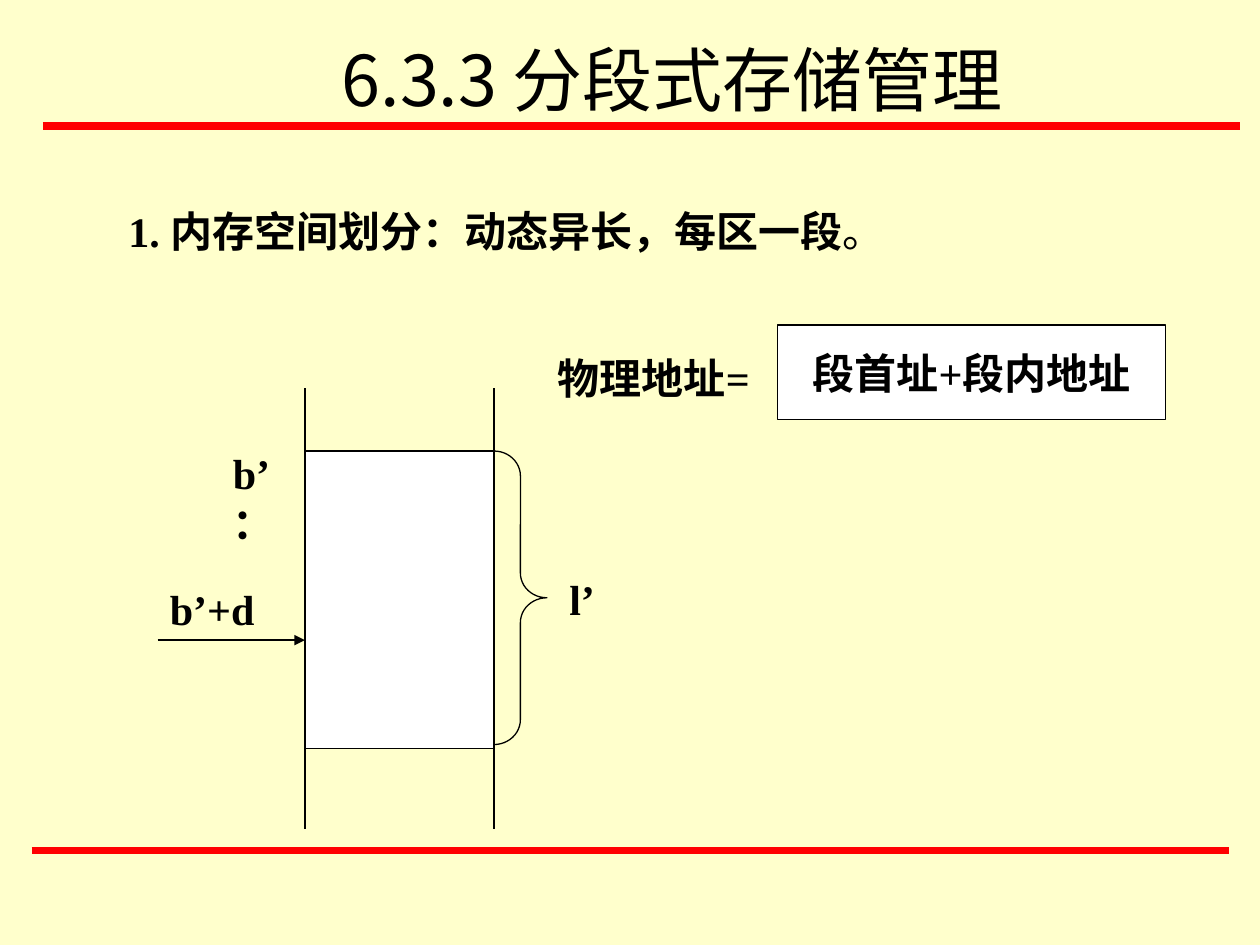
from typing import NamedTuple

from lxml import etree
from pptx import Presentation
from pptx.dml.color import RGBColor
from pptx.enum.shapes import MSO_CONNECTOR, MSO_SHAPE
from pptx.enum.text import MSO_ANCHOR, MSO_AUTO_SIZE, PP_ALIGN
from pptx.oxml.ns import qn
from pptx.util import Inches, Pt

CREAM = RGBColor(0xFF, 0xFF, 0xCC)
RED = RGBColor(0xFF, 0x00, 0x00)
BLACK = RGBColor(0x00, 0x00, 0x00)
WHITE = RGBColor(0xFF, 0xFF, 0xFF)
LATIN_FONT = "Times New Roman"
CHINESE_FONT = "Noto Sans CJK SC"
STRAIGHT = MSO_CONNECTOR.STRAIGHT
RECTANGLE, BRACE = MSO_SHAPE.RECTANGLE, MSO_SHAPE.RIGHT_BRACE
MIDDLE, CENTER = MSO_ANCHOR.MIDDLE, PP_ALIGN.CENTER
NO_FIT, GROW = MSO_AUTO_SIZE.NONE, MSO_AUTO_SIZE.SHAPE_TO_FIT_TEXT
THIN, THICK = 0.75, 4.5

# Memory column edges
LEFT, RIGHT, TOP, BOTTOM = 2.42, 3.92, 3.58, 5.94


class Label(NamedTuple):
    text: str
    left: float
    top: float
    width: float
    height: float = 0.5
    space_before: float = 15


class Line(NamedTuple):
    x1: float
    y1: float
    x2: float
    y2: float
    color: RGBColor = BLACK
    weight: float = THIN
    arrow: bool = False


def style_font(para, size: float, latin: str, bold: bool) -> None:
    font = para.font
    font.size, font.name, font.bold = Pt(size), latin, bold
    font.color.rgb = BLACK
    for span in para.runs:
        span.font.name = latin
        east_asian = etree.SubElement(span.font._element, qn("a:ea"))
        east_asian.set("typeface", CHINESE_FONT)


def add_label(page, label: Label):
    box = page.shapes.add_textbox(Inches(label.left), Inches(label.top),
                                  Inches(label.width), Inches(label.height))
    frame = box.text_frame
    frame.word_wrap = True
    frame.auto_size = GROW
    para = frame.paragraphs[0]
    para.text = label.text
    para.space_before = Pt(label.space_before)
    style_font(para, 24, LATIN_FONT, True)
    return para


def add_line(page, line: Line) -> None:
    connector = page.shapes.add_connector(
        STRAIGHT, Inches(line.x1), Inches(line.y1), Inches(line.x2), Inches(line.y2))
    connector.line.color.rgb = line.color
    connector.line.width = Pt(line.weight)
    if line.arrow:
        outline = connector.line._get_or_add_ln()
        etree.SubElement(outline, qn("a:tailEnd")).set("type", "triangle")
    etree.SubElement(connector._element.spPr, qn("a:effectLst"))


def add_outline(page, kind, left: float, top: float, width: float, height: float,
                filled: bool = True):
    shape = page.shapes.add_shape(kind, Inches(left), Inches(top),
                                  Inches(width), Inches(height))
    shape.shadow.inherit = False
    if filled:
        shape.fill.solid()
        shape.fill.fore_color.rgb = WHITE
    else:
        shape.fill.background()
    shape.line.color.rgb = BLACK
    shape.line.width = Pt(THIN)
    return shape


deck = Presentation()
deck.slide_width, deck.slide_height = Inches(10), Inches(7.5)
page = deck.slides.add_slide(deck.slide_layouts[5])
page.background.fill.solid()
page.background.fill.fore_color.rgb = CREAM

# Red rules
add_line(page, Line(0.25, 6.75, 9.75, 6.75, RED, THICK))
add_line(page, Line(0.34, 1, 9.84, 1, RED, THICK))

# Title
title = page.shapes.title
title.left, title.top = Inches(0.67), Inches(0)
title.width, title.height = Inches(9.33), Inches(1.25)
title.text_frame.text = "6.3.3 分段式存储管理"
title.text_frame.vertical_anchor = MIDDLE
title.text_frame.auto_size = NO_FIT
heading = title.text_frame.paragraphs[0]
heading.alignment = CENTER
style_font(heading, 40, CHINESE_FONT, False)

# Statement, ending in a regular-weight full stop
statement = add_label(page, Label("1. 内存空间划分：动态异长，每区一段", 0.92, 1.58, 6.2,
                                  space_before=0))
statement.add_run().text = "。"
style_font(statement, 24, LATIN_FONT, True)
statement.runs[-1].font.bold = False

# Address formula
formula = add_outline(page, RECTANGLE, 6.17, 2.58, 3.08, 0.75)
formula.text_frame.text = "段首址+段内地址"
formula.text_frame.word_wrap = False
formula.text_frame.vertical_anchor = MIDDLE
formula_para = formula.text_frame.paragraphs[0]
formula_para.alignment = CENTER
style_font(formula_para, 24, LATIN_FONT, True)

# Memory column with its segment and length brace
add_outline(page, RECTANGLE, LEFT, TOP, RIGHT - LEFT, BOTTOM - TOP)
for edge in (LEFT, RIGHT):
    add_line(page, Line(edge, 3.08, edge, 6.58))
brace = add_outline(page, BRACE, RIGHT, TOP, 0.42, 2.33, filled=False)
brace.adjustments[0] = 0.47
add_line(page, Line(1.25, 5.08, LEFT, 5.08, arrow=True))

# Labels
for label in (
    Label("物理地址=", 4.33, 2.75, 2),
    Label("b’：", 1.75, 3.5, 0.58, 0.9),
    Label("l’", 4.42, 4.5, 0.67),
    Label("b’+d", 1.25, 4.58, 1),
):
    add_label(page, label)

deck.save("out.pptx")
